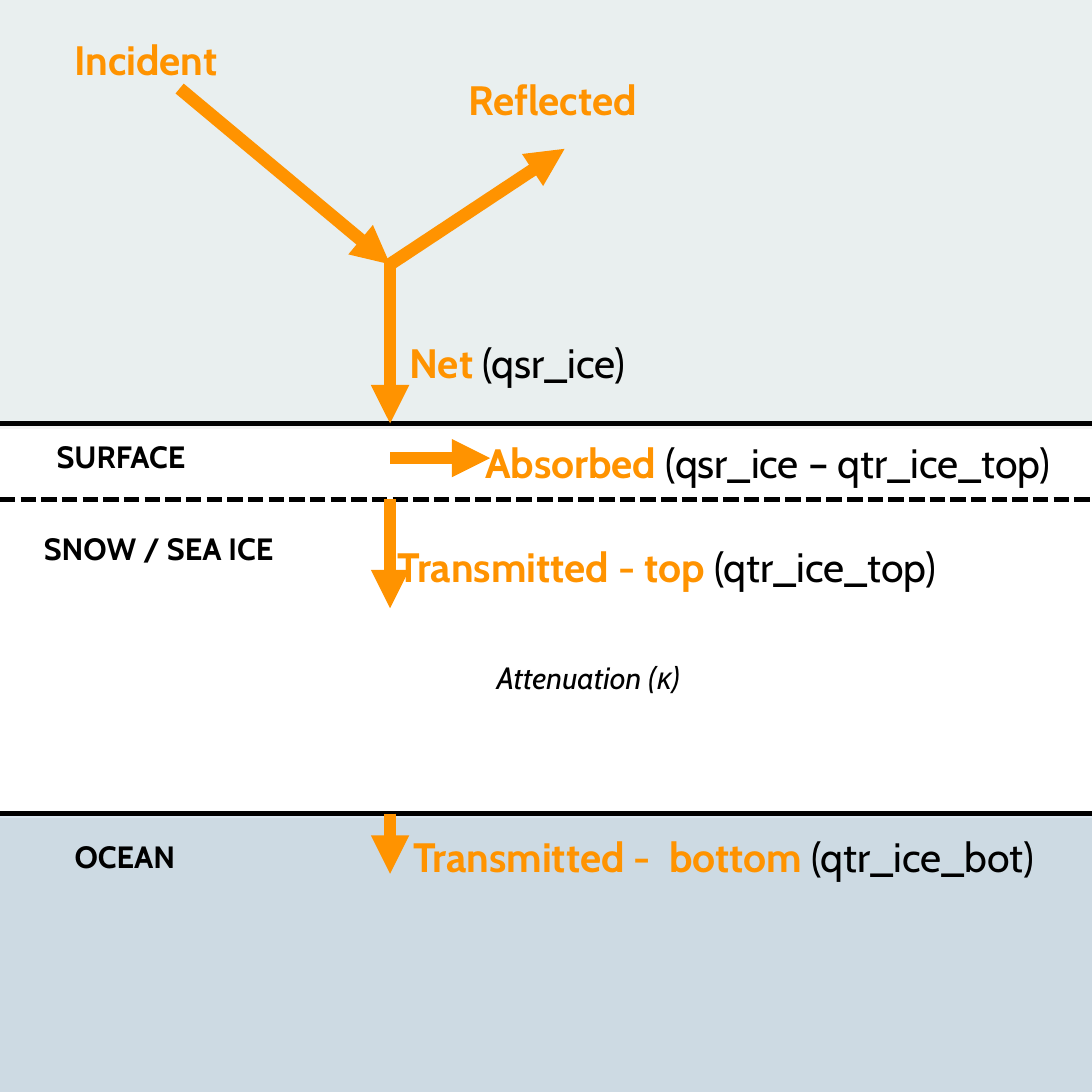
"""Build a slide on how sunlight passes through snow, sea ice and ocean."""
from lxml.etree import SubElement
from pptx import Presentation
from pptx.dml.color import RGBColor
from pptx.enum.dml import MSO_LINE
from pptx.enum.shapes import MSO_CONNECTOR, MSO_SHAPE
from pptx.enum.text import MSO_AUTO_SIZE
from pptx.oxml.ns import qn
from pptx.util import Pt

COLOURS = {"light": "FF9300", "ink": "000000", "air": "BBE0E3", "ocean": "005493"}
FONT = "Cabin"
SIDE = 425.5
SURFACE, ICE, OCEAN = 165, 194.5, 317
AXIS = 152
SPLIT = (AXIS, 103)


def colour(name):
    return RGBColor.from_string(COLOURS[name])


def add_band(page, top, bottom, fill):
    band = page.shapes.add_shape(
        MSO_SHAPE.RECTANGLE, 0, Pt(top), Pt(427), Pt(bottom - top))
    band.fill.solid()
    band.fill.fore_color.rgb = colour(fill)
    band.line.fill.background()
    band.shadow.inherit = False
    properties = band.element.spPr
    tint = properties.find(qn("a:solidFill")).find(qn("a:srgbClr"))
    SubElement(tint, qn("a:alpha"), val="15000")
    shadow = SubElement(
        properties.find(qn("a:effectLst")), qn("a:outerShdw"),
        blurRad="0", dist=str(Pt(1.8)), dir="5400000", rotWithShape="0")
    shade = SubElement(shadow, qn("a:srgbClr"), val=COLOURS["ink"])
    SubElement(shade, qn("a:alpha"), val="35000")


def add_line(page, start, end, name, width):
    line = page.shapes.add_connector(
        MSO_CONNECTOR.STRAIGHT, *(Pt(value) for value in (*start, *end)))
    line.line.color.rgb = colour(name)
    line.line.width = Pt(width)
    SubElement(line.element.spPr, qn("a:effectLst"))
    return line


def add_boundary(page, height, dashed=False):
    boundary = add_line(page, (0, height), (SIDE, height), "ink", 2)
    if dashed:
        boundary.line.dash_style = MSO_LINE.SQUARE_DOT


def add_ray(page, start, end):
    ray = add_line(page, start, end, "light", 5)
    SubElement(ray.element.spPr.find(qn("a:ln")), qn("a:tailEnd"), type="triangle")


def add_label(page, left, top, width, size, spans):
    box = page.shapes.add_textbox(Pt(left), Pt(top), Pt(width), Pt(size * 1.3 + 6))
    frame = box.text_frame
    frame.word_wrap = False
    frame.auto_size = MSO_AUTO_SIZE.SHAPE_TO_FIT_TEXT
    para = frame.paragraphs[0]
    for text, name, bold, italic in spans:
        span = para.add_run()
        span.text = text
        span.font.name = FONT
        span.font.size = Pt(size)
        span.font.bold = bold
        span.font.italic = italic
        span.font.color.rgb = colour(name)


def add_flux(page, left, top, width, flux, variable=""):
    spans = [(flux, "light", True, False)]
    if variable:
        spans.append((variable, "ink", False, False))
    add_label(page, left, top, width, 16, spans)


def add_note(page, left, top, width, text, italic=False):
    add_label(page, left, top, width, 12, [(text, "ink", not italic, italic)])


def main():
    deck = Presentation()
    deck.slide_width = deck.slide_height = Pt(SIDE)
    page = deck.slides.add_slide(deck.slide_layouts[6])

    add_band(page, -3, SURFACE + 0.5, "air")
    add_band(page, OCEAN, SIDE, "ocean")
    add_boundary(page, SURFACE)
    add_boundary(page, ICE, dashed=True)
    add_boundary(page, OCEAN)

    add_ray(page, (70, 34.5), SPLIT)
    add_ray(page, SPLIT, (220, 58))
    add_ray(page, (AXIS, 101), (AXIS, SURFACE))
    add_ray(page, (AXIS, 178.5), (191, 178.5))
    add_ray(page, (AXIS, ICE), (AXIS, 237))
    add_ray(page, (AXIS, OCEAN), (AXIS, 340.5))

    add_flux(page, 22, 10, 81, "Incident")
    add_flux(page, 175.5, 25.5, 89, "Reflected")
    add_flux(page, 152.5, 128, 109.5, "Net ", "(qsr_ice)")
    add_flux(page, 182, 167, 254, "Absorbed", " (qsr_ice – qtr_ice_top)")
    add_flux(page, 148, 207.5, 249, "Transmitted - top", " (qtr_ice_top)")
    add_flux(page, 154, 320.5, 286, "Transmitted -  bottom ", "(qtr_ice_bot)")

    add_note(page, 15, 167, 67, "SURFACE")
    add_note(page, 10, 203, 106.5, "SNOW / SEA ICE")
    add_note(page, 22, 323, 56, "OCEAN")
    add_note(page, 186.5, 253, 92, "Attenuation (κ)", italic=True)

    deck.save("out.pptx")


main()
